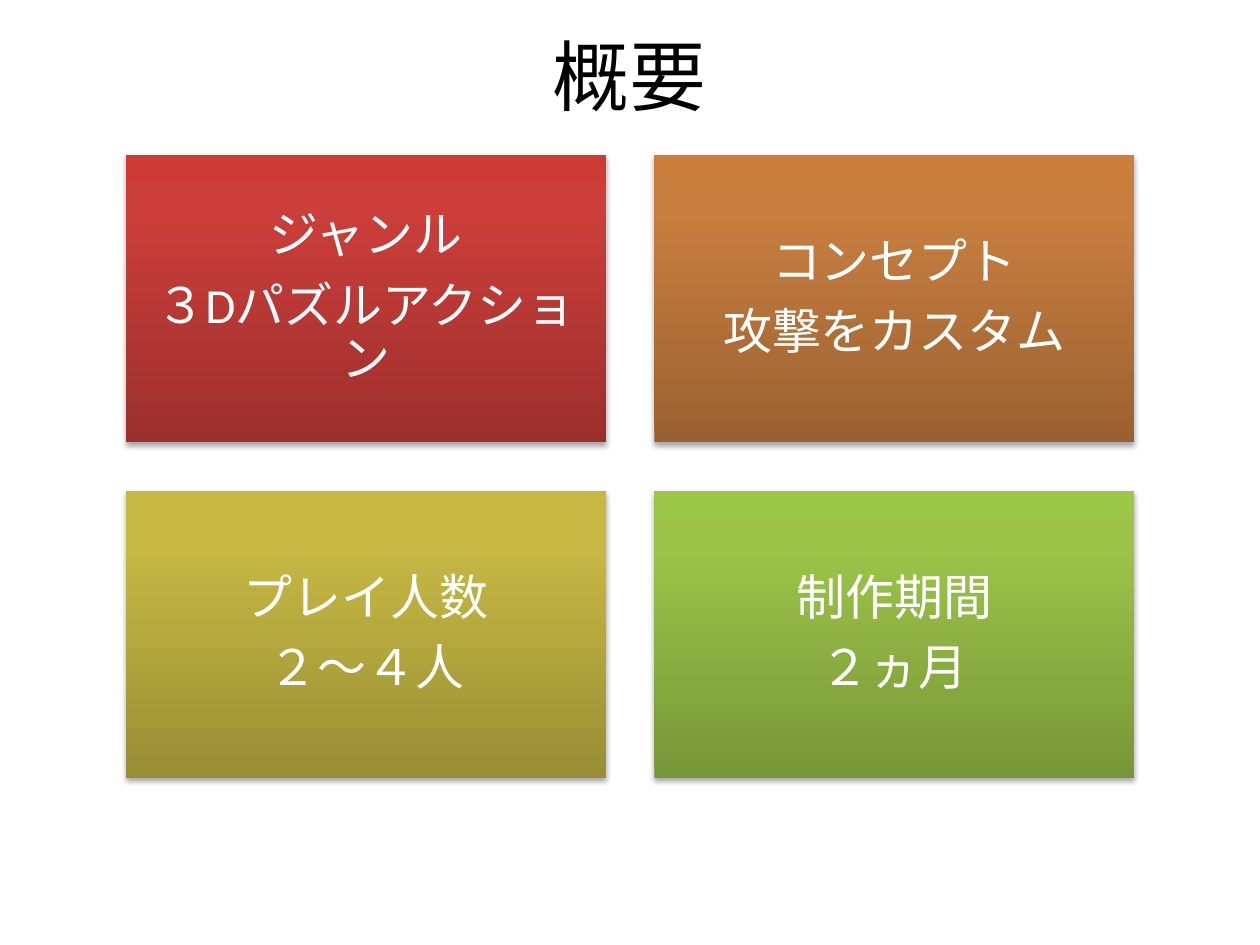
from lxml.etree import fromstring
from pptx import Presentation
from pptx.dml.color import RGBColor
from pptx.enum.shapes import MSO_SHAPE
from pptx.enum.text import MSO_ANCHOR, PP_ALIGN
from pptx.util import Cm, Pt

TITLE = "概要"
CARDS = [
    (["ジャンル", "３Dパズルアクション"], ("9C2F2D", "CB3E3A", "CE3B37")),
    (["コンセプト", "攻撃をカスタム"], ("9A6130", "C87E3F", "CC7E3C")),
    (["プレイ人数", "２～４人"], ("988E34", "C6B843", "C9BB41")),
    (["制作期間", "２ヵ月"], ("779737", "9BC348", "9DC746")),
]
LEFT, TOP, WIDTH, HEIGHT, GAP = 2.54, 3.12, 9.68, 5.8, 0.97
COLUMNS = 2
STOPS = (0, 80, 100)
NS = 'xmlns:a="http://schemas.openxmlformats.org/drawingml/2006/main"'
SHADOW = (
    f'<a:effectLst {NS}><a:outerShdw blurRad="40000" dist="23000" dir="5400000" '
    'rotWithShape="0"><a:srgbClr val="000000"><a:alpha val="35000"/></a:srgbClr>'
    '</a:outerShdw></a:effectLst>'
)


def rgb(color):
    return RGBColor.from_string(color)


def set_text(sp, lines, size, color, inset):
    tf = sp.text_frame
    tf.word_wrap = True
    tf.vertical_anchor = MSO_ANCHOR.MIDDLE
    tf.margin_left = tf.margin_right = tf.margin_top = tf.margin_bottom = Cm(inset)
    tf.text = "\n".join(lines)
    for p in tf.paragraphs:
        p.alignment = PP_ALIGN.CENTER
        p.font.name = "Calibri"
        p.font.size = Pt(size)
        p.font.color.rgb = rgb(color)


def set_gradient(sp, colors):
    sp.line.fill.background()
    stops = "".join(
        f'<a:gs pos="{pos * 1000}"><a:srgbClr val="{color}"/></a:gs>'
        for pos, color in zip(STOPS, colors)
    )
    fill = fromstring(
        f'<a:gradFill {NS} rotWithShape="1"><a:gsLst>{stops}</a:gsLst>'
        '<a:lin ang="16200000" scaled="0"/></a:gradFill>'
    )
    sp.line._get_or_add_ln().addprevious(fill)


def add_card(s, index, lines, colors):
    row, col = divmod(index, COLUMNS)
    sp = s.shapes.add_shape(
        MSO_SHAPE.RECTANGLE,
        Cm(LEFT + col * (WIDTH + GAP)), Cm(TOP + row * (HEIGHT + GAP)),
        Cm(WIDTH), Cm(HEIGHT),
    )
    set_gradient(sp, colors)
    sp._element.spPr.append(fromstring(SHADOW))
    set_text(sp, lines, 28, "FFFFFF", 0.3)
    for p in sp.text_frame.paragraphs:
        p.line_spacing = 0.9
        p.space_after = Pt(9.8)


def main():
    """Build the overview slide with a title and a grid of four cards."""
    prs = Presentation()
    prs.slide_width, prs.slide_height = Cm(25.4), Cm(19.05)
    s = prs.slides.add_slide(prs.slide_layouts[6])
    title = s.shapes.add_textbox(Cm(1.27), Cm(-0.08), Cm(22.86), Cm(3.18))
    set_text(title, [TITLE], 44, "000000", 0.13)
    for index, (lines, colors) in enumerate(CARDS):
        add_card(s, index, lines, colors)
    prs.save("out.pptx")


if __name__ == "__main__":
    main()
